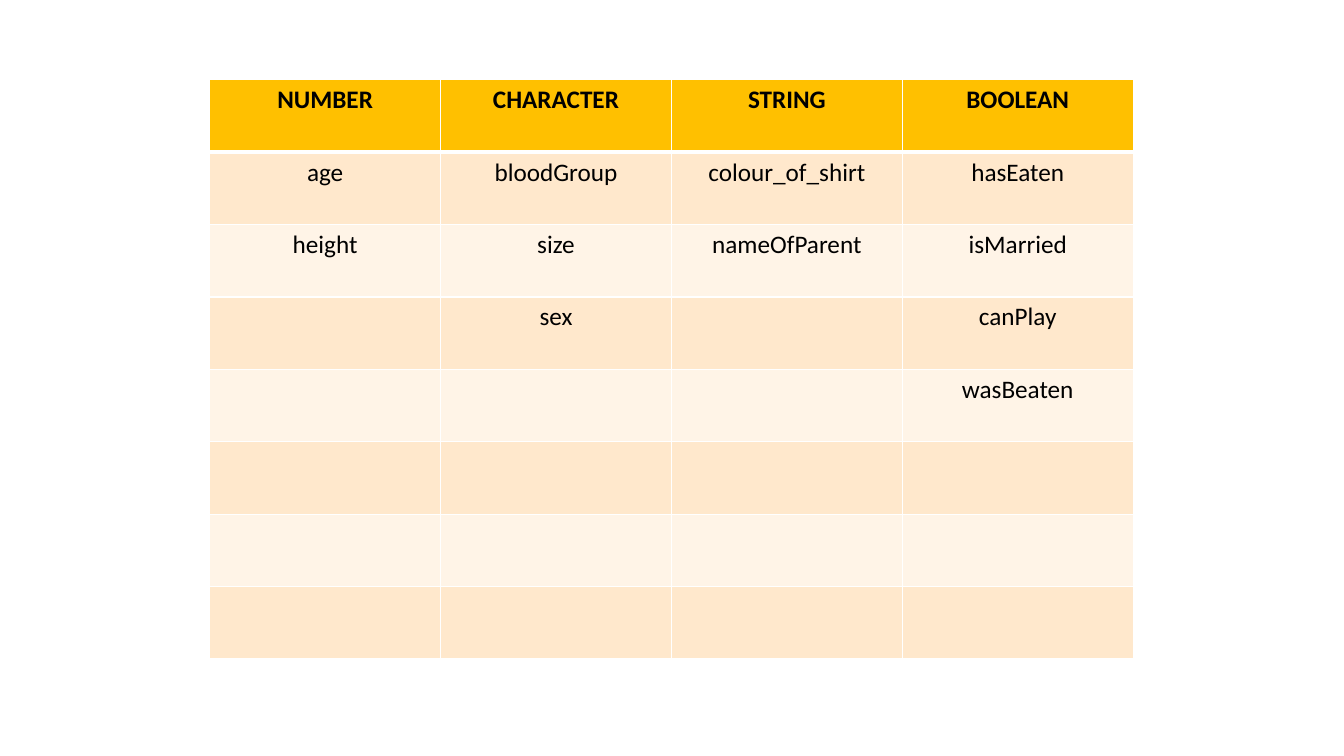
from lxml import etree
from pptx import Presentation
from pptx.dml.color import RGBColor
from pptx.enum import text
from pptx.oxml.ns import qn
from pptx.util import Inches, Pt

ROWS = [
    ["NUMBER", "CHARACTER", "STRING", "BOOLEAN"],
    ["age", "bloodGroup", "colour_of_shirt", "hasEaten"],
    ["height", "size", "nameOfParent", "isMarried"],
    ["", "sex", "", "canPlay"],
    ["", "", "", "wasBeaten"],
    [""] * 4,
    [""] * 4,
    [""] * 4,
]
HEADER_FILL = "FFC000"
BAND_FILLS = ["FFF4E7", "FFE8CC"]
BORDER = "FFFFFF"


def color(value):
    return RGBColor.from_string(value)


def add_border(cell, side, width):
    tc_pr = cell._tc.get_or_add_tcPr()
    ln = etree.SubElement(tc_pr, qn(f"a:ln{side}"), w=str(Pt(width)))
    fill = etree.SubElement(ln, qn("a:solidFill"))
    etree.SubElement(fill, qn("a:srgbClr"), val=BORDER)


def style_cell(cell, label, row):
    header = row == 0
    widths = {"L": 1, "R": 1, "T": 3 if row == 1 else 1, "B": 3 if header else 1}
    for side, width in widths.items():
        add_border(cell, side, width)
    cell.fill.solid()
    cell.fill.fore_color.rgb = color(HEADER_FILL if header else BAND_FILLS[row % 2])
    p = cell.text_frame.paragraphs[0]
    p.text = label
    p.alignment = text.PP_ALIGN.CENTER
    for r in p.runs:
        r.font.name = "Calibri"
        r.font.size = Pt(18)
        r.font.bold = header
        r.font.color.rgb = color("000000")


def add_type_table(slide):
    frame = slide.shapes.add_table(
        len(ROWS), len(ROWS[0]),
        Inches(2.08), Inches(0.79), Inches(9.16), Inches(5.75),
    )
    for i, labels in enumerate(ROWS):
        for j, label in enumerate(labels):
            style_cell(frame.table.cell(i, j), label, i)


def main():
    prs = Presentation()
    prs.slide_width = Inches(13.33)
    prs.slide_height = Inches(7.5)
    slide = prs.slides.add_slide(prs.slide_layouts[6])
    add_type_table(slide)
    prs.save("out.pptx")


if __name__ == "__main__":
    main()
